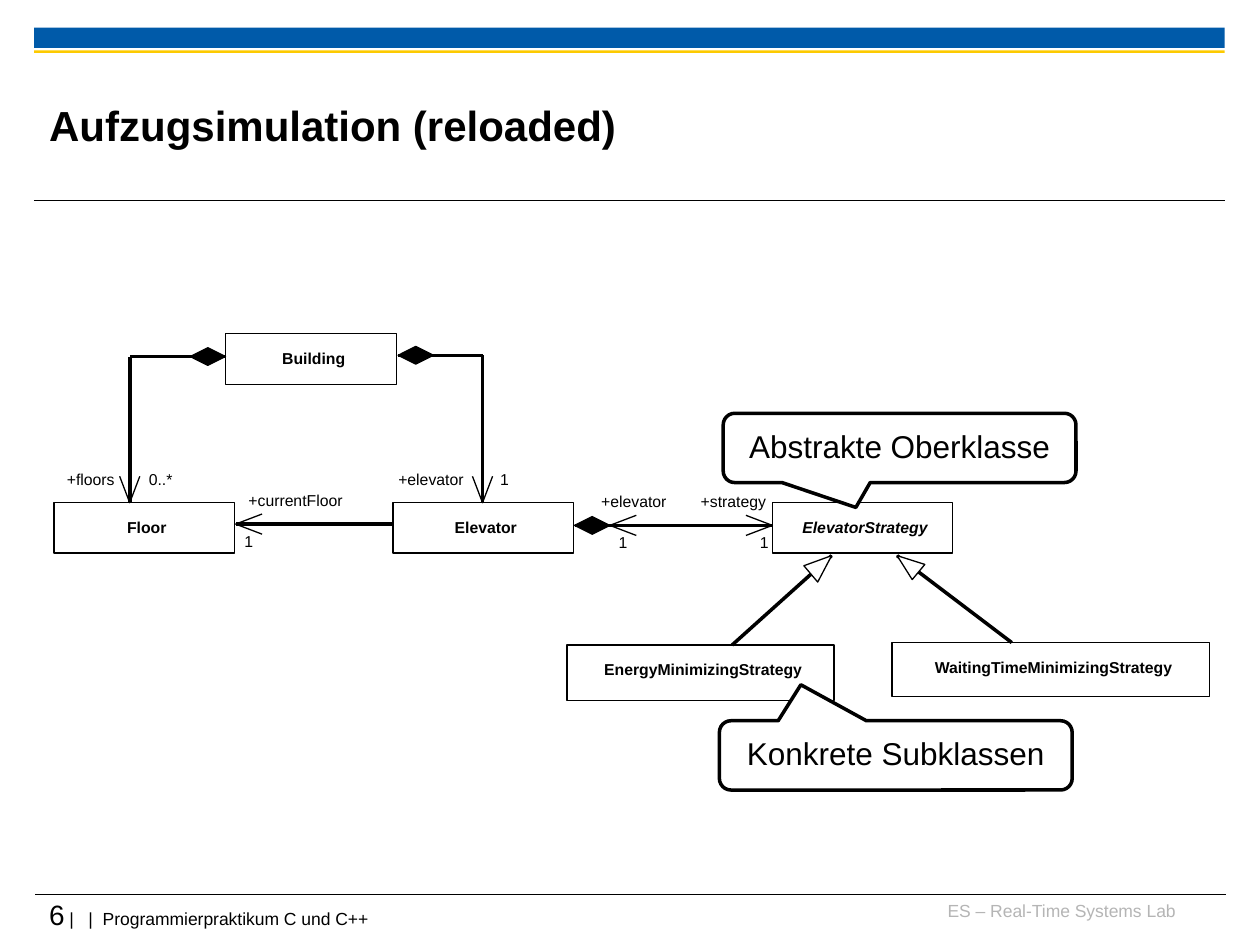
from pptx import Presentation
from pptx import util as u
from pptx.dml import color
from pptx.enum import shapes, text
from pptx.oxml import ns, xmlchemy

BLACK, WHITE = "000000", "FFFFFF"
BARS = [(0.27, 0.22, 9.45, 0.16, "005AA9"), (0.27, 0.4, 9.45, 0.02, "FDCA00")]
RULES = [(0.28, 7.1, 9.73, 7.1), (0.27, 1.59, 9.72, 1.59)]
TITLE = [("Aufzugsimulation (reloaded)", 24, BLACK, True, False)]
FOOT = [("6", 16, BLACK, False, False),
        (" |   |  Programmierpraktikum C und C++", 10, BLACK, False, False)]
LAB = [("ES – Real-Time Systems Lab", 10, "B5B5B5", False, False)]
CLASSES = [
    ("Building", 1.79, 2.65, 1.36, 0.4, False),
    ("Elevator", 3.12, 3.99, 1.43, 0.4, False),
    ("ElevatorStrategy", 6.13, 3.99, 1.43, 0.4, True),
    ("Floor", 0.43, 3.99, 1.43, 0.4, False),
    ("EnergyMinimizingStrategy", 4.5, 5.12, 2.12, 0.4, False),
    ("WaitingTimeMinimizingStrategy", 7.08, 5.1, 2.52, 0.4, False),
]
HEIGHTS = {"EnergyMinimizingStrategy": 0.44, "WaitingTimeMinimizingStrategy": 0.43}
LINES = [
    (3.12, 4.16, 1.87, 4.16), (4.56, 4.17, 6.13, 4.17),
    (3.16, 2.82, 3.83, 2.82), (3.83, 2.82, 3.83, 3.99),
    (1.79, 2.83, 1.03, 2.83), (1.03, 2.83, 1.03, 3.99),
    (5.81, 5.12, 6.6, 4.41), (8.03, 5.1, 7.12, 4.41),
]
DIAMONDS = [(4.7, 4.17), (3.3, 2.82), (1.65, 2.83)]
ARROWS = [(1.87, 4.16, -1, 0), (6.13, 4.17, 1, 0), (4.84, 4.17, -1, 0),
          (3.83, 3.99, 0, 1), (1.03, 3.99, 0, 1)]
PARENTS = [[(6.49, 4.62), (6.38, 4.49), (6.6, 4.41)],
           [(7.34, 4.48), (7.24, 4.6), (7.12, 4.41)]]
LABELS = [
    ("+currentFloor", 1.97, 3.91, 0.75), ("1", 1.94, 4.23, 0.07),
    ("+elevator", 4.77, 3.92, 0.52), ("1", 4.91, 4.24, 0.07),
    ("+strategy", 5.56, 3.92, 0.52), ("1", 6.03, 4.24, 0.07),
    ("+elevator", 3.16, 3.74, 0.52), ("1", 3.97, 3.74, 0.07),
    ("+floors", 0.53, 3.74, 0.38), ("0..*", 1.18, 3.74, 0.19),
]
NOTES = [("Abstrakte Oberklasse", 5.74, 3.28, (-0.124, 0.859, 0.167)),
         ("Konkrete Subklassen", 5.71, 5.72, (-0.269, -1.019, 0.167))]

deck = Presentation()
deck.slide_width, deck.slide_height = u.Inches(10), u.Inches(7.5)
slide = deck.slides.add_slide(deck.slide_layouts[6])
tree = slide.shapes
LEFT, MID, RIGHT = text.PP_ALIGN.LEFT, text.PP_ALIGN.CENTER, text.PP_ALIGN.RIGHT
TOP, HALF = text.MSO_ANCHOR.TOP, text.MSO_ANCHOR.MIDDLE


def rgb(code):
    return color.RGBColor.from_string(code)


def paint(shape, fill=None, line=None, width=0):
    shape.shadow.inherit = False
    if fill:
        shape.fill.solid()
        shape.fill.fore_color.rgb = rgb(fill)
    else:
        shape.fill.background()
    if line:
        shape.line.color.rgb = rgb(line)
        shape.line.width = u.Pt(width)
    else:
        shape.line.fill.background()


def write(shape, runs, align=LEFT, anchor=TOP, inset=(0, 0, 0, 0), wrap=True, space=1.0):
    frame = shape.text_frame
    frame.word_wrap = wrap
    frame.vertical_anchor = anchor
    (frame.margin_left, frame.margin_top,
     frame.margin_right, frame.margin_bottom) = map(u.Inches, inset)
    para = frame.paragraphs[0]
    para.alignment = align
    para.line_spacing = space
    for words, size, ink, bold, slant in runs:
        run = para.add_run()
        run.text = words
        font = run.font
        font.name, font.size = "Arial", u.Pt(size)
        font.bold, font.italic = bold, slant
        font.color.rgb = rgb(ink)
    return para


def block(kind, x, y, w, h):
    return tree.add_shape(kind, *map(u.Inches, (x, y, w, h)))


def box(x, y, w, h):
    return tree.add_textbox(*map(u.Inches, (x, y, w, h)))


def link(ends, width):
    line = tree.add_connector(shapes.MSO_CONNECTOR.STRAIGHT, *map(u.Inches, ends))
    line.line.color.rgb = rgb(BLACK)
    line.line.width = u.Pt(width)
    line._element.spPr.append(xmlchemy.OxmlElement("a:effectLst"))


def outline(points, fill=None, close=True):
    spots = [(u.Inches(x), u.Inches(y)) for x, y in points]
    path = tree.build_freeform(*spots[0])
    path.add_line_segments(spots[1:], close=close)
    paint(path.convert_to_shape(), fill, BLACK)


RECT = shapes.MSO_SHAPE.RECTANGLE
for *place, fill in BARS:
    paint(block(RECT, *place), fill)
for ends in RULES:
    link(ends, 0.6)
write(box(7.36, 7.14, 1.97, 0.25), LAB, RIGHT).space_before = u.Pt(6.2)
write(box(0.39, 7.12, 9.33, 0.33), FOOT)
write(box(0.39, 0.53, 7.52, 0.92), TITLE, anchor=HALF)

for name, x, y, w, h, slant in CLASSES:
    shape = block(RECT, x, y, w, HEIGHTS.get(name, h))
    paint(shape, WHITE, BLACK)
    write(shape, [(name, 9, BLACK, True, slant)], MID, TOP,
          (0.04, 0.13, 0, 0), False, 0.93)

for ends in LINES:
    link(ends, 0)
for x, y in DIAMONDS:
    outline([(x, y - 0.07), (x - 0.14, y), (x, y + 0.07), (x + 0.14, y)], BLACK)
for x, y, dx, dy in ARROWS:
    bx, by = x - 0.21 * dx, y - 0.21 * dy
    sx, sy = 0.08 * dy, 0.08 * dx
    outline([(bx - sx, by - sy), (x, y), (bx + sx, by + sy)], close=False)
for points in PARENTS:
    outline(points, WHITE)
for words, x, y, w in LABELS:
    write(box(x, y, w, 0.14), [(words, 9, BLACK, False, False)], MID, wrap=False, space=0.93)

for words, x, y, bends in NOTES:
    note = block(shapes.MSO_SHAPE.ROUNDED_RECTANGULAR_CALLOUT, x, y, 2.8, 0.55)
    for i, bend in enumerate(bends):
        note.adjustments[i] = bend
    paint(note, WHITE, BLACK, 2)
    write(note, [(words, 18, BLACK, False, False)], MID, HALF,
          (0.1, 0.05, 0.1, 0.05), True, 0.93)

deck.save("out.pptx")
